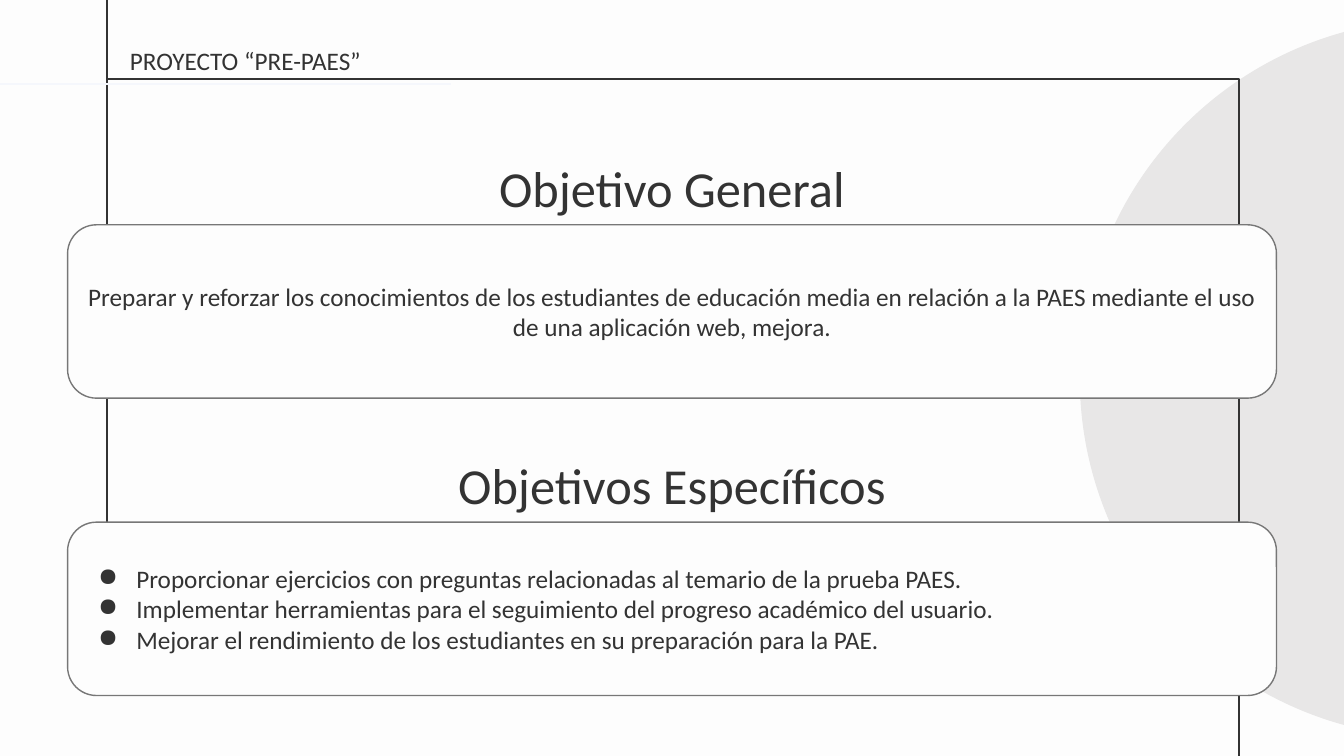
from pptx import Presentation
from pptx.dml.color import RGBColor
from pptx.enum import shapes, text
from pptx.oxml import parse_xml
from pptx.oxml.ns import nsdecls
from pptx.util import Inches, Pt

# Content
HEADER = "PROYECTO “PRE-PAES”"
PARTS = [
    ("Objetivo General", False, [
        "Preparar y reforzar los conocimientos de los estudiantes de educación media "
        "en relación a la PAES mediante el uso de una aplicación web, mejora.",
    ]),
    ("Objetivos Específicos", True, [
        "Proporcionar ejercicios con preguntas relacionadas al temario de la prueba PAES.",
        "Implementar herramientas para el seguimiento del progreso académico del usuario.",
        "Mejorar el rendimiento de los estudiantes en su preparación para la PAE.",
    ]),
]

# Style and layout
COLORS = {"back": "FDFDFD", "disc": "E8E7E7", "ink": "333333",
          "edge": "777777", "faint": "F5F7FC"}
FONT = "Calibri"
WIDE, HIGH = 13.33, 7.5
LEFT, TOP, RIGHT, BASE = 1.06, 0.78, 12.29, 6.72
FIRST, STEP = 1.51, 2.95
CARD = {"left": 0.67, "drop": 0.72, "width": 11.99, "height": 1.72}

KIND = shapes.MSO_SHAPE
ALIGN = text.PP_ALIGN
ANCHOR = text.MSO_ANCHOR


def rgb(name):
    return RGBColor.from_string(COLORS[name])


def add_shape(kind, box, fill=None, edge=None, width=1):
    shape = slide.shapes.add_shape(kind, *map(Inches, box))
    shape.shadow.inherit = False
    if fill:
        shape.fill.solid()
        shape.fill.fore_color.rgb = rgb(fill)
    else:
        shape.fill.background()
    if edge:
        shape.line.color.rgb = rgb(edge)
        shape.line.width = Pt(width)
    else:
        shape.line.fill.background()
    return shape


def add_line(start, end, color, width):
    line = slide.shapes.add_connector(
        shapes.MSO_CONNECTOR.STRAIGHT, *map(Inches, start + end))
    line.line.color.rgb = rgb(color)
    line.line.width = Pt(width)
    line._element.spPr.append(parse_xml(f"<a:effectLst {nsdecls('a')}/>"))


def add_bullet(par):
    props = par._p.get_or_add_pPr()
    props.set("marL", str(Inches(0.5)))
    props.set("indent", str(Inches(-0.38)))
    for xml in (f'<a:buClr {nsdecls("a")}><a:srgbClr val="{COLORS["ink"]}"/></a:buClr>',
                f'<a:buChar {nsdecls("a")} char="●"/>'):
        props.append(parse_xml(xml))


def write(shape, lines, size, align, anchor=ANCHOR.TOP, bullets=False):
    frame = shape.text_frame
    frame.word_wrap = True
    frame.vertical_anchor = anchor
    for i, line in enumerate(lines):
        par = frame.paragraphs[0] if i == 0 else frame.add_paragraph()
        par.alignment = align
        if bullets:
            add_bullet(par)
        run = par.add_run()
        run.text = line
        for key, value in {"name": FONT, "size": Pt(size)}.items():
            setattr(run.font, key, value)
        run.font.color.rgb = rgb("ink")


def add_label(box, line, size, align):
    write(slide.shapes.add_textbox(*map(Inches, box)), [line], size, align)


deck = Presentation()
deck.slide_width, deck.slide_height = Inches(WIDE), Inches(HIGH)
slide = deck.slides.add_slide(deck.slide_layouts[6])
slide.background.fill.solid()
slide.background.fill.fore_color.rgb = rgb("back")

# Disc and frame
add_shape(KIND.OVAL, (10.71, 0.19, 7.13, 7.13), fill="disc")
add_shape(KIND.RECTANGLE, (LEFT, TOP, RIGHT - LEFT, BASE - TOP), edge="ink", width=1.5)
add_line((LEFT, TOP), (LEFT, 0), "ink", 1.5)
add_line((RIGHT, HIGH), (RIGHT, BASE), "ink", 1.5)
add_line((0, 0.83), (4.47, 0.83), "faint", 1.25)

# Headings with their cards
for i, (title, bullets, lines) in enumerate(PARTS):
    top = FIRST + i * STEP
    add_label((0, top, WIDE, 0.71), title, 36, ALIGN.CENTER)
    card = add_shape(KIND.ROUNDED_RECTANGLE,
                     (CARD["left"], top + CARD["drop"], CARD["width"], CARD["height"]),
                     fill="back", edge="edge")
    write(card, lines, 18, ALIGN.LEFT if bullets else ALIGN.CENTER,
          ANCHOR.MIDDLE, bullets)

# Header
add_label((1.19, 0.4, 12.1, 0.4), HEADER, 18, ALIGN.LEFT)

deck.save("out.pptx")
